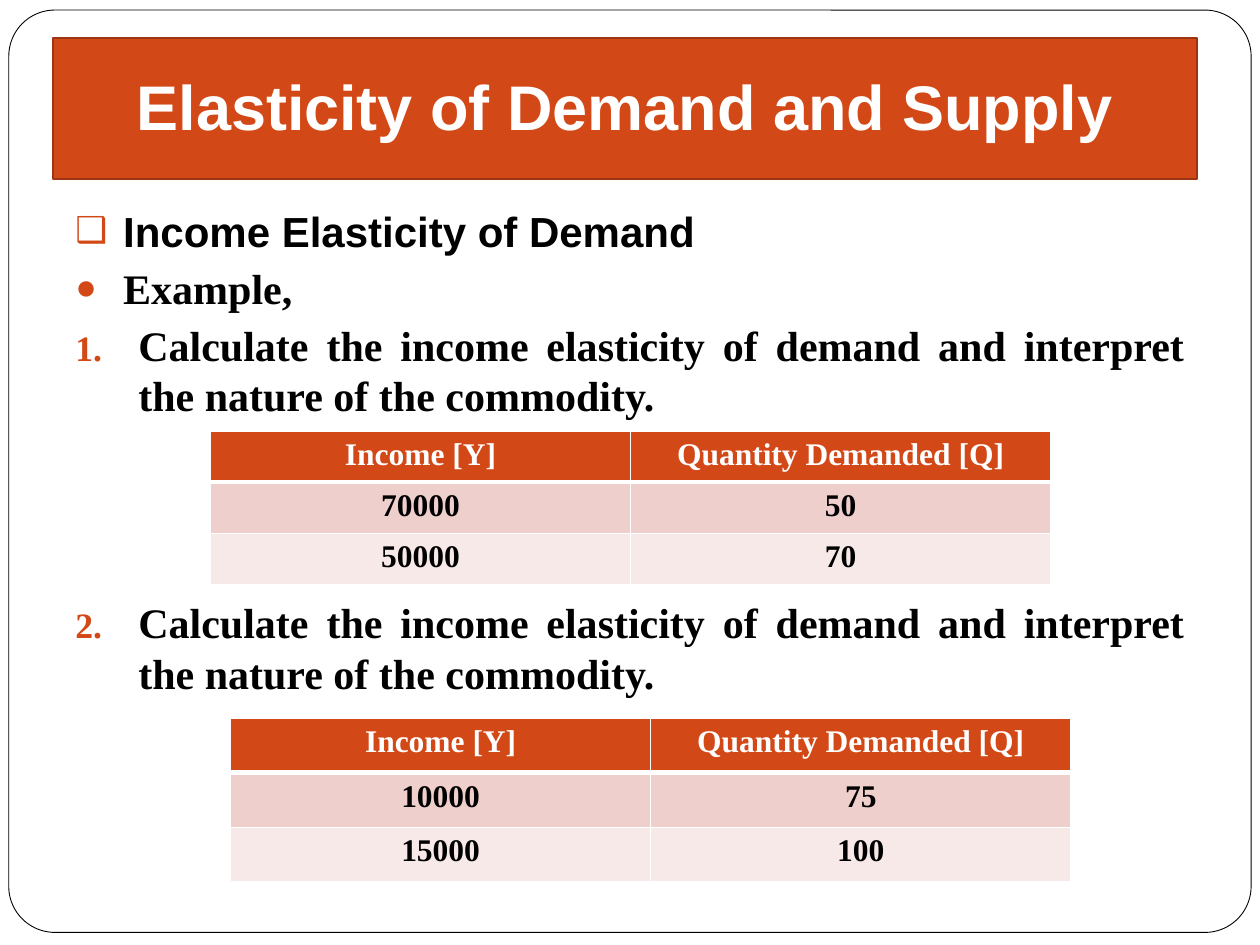
from lxml import etree
from pptx import Presentation
from pptx import util as u
from pptx.dml.color import RGBColor
from pptx.enum import shapes, text
from pptx.oxml.ns import qn

COLORS = {"accent": "D34817", "accent_dark": "9C3511", "white": "FFFFFF",
          "black": "000000", "band": "EFCFCC", "band_light": "F7E9E8"}
SANS, SERIF = "Arial", "Times New Roman"
LINE_HEIGHT, PARAGRAPH_GAP = 28.8, 3.7
QUESTION = ("Calculate the income elasticity of demand and interpret "
            "the nature of the commodity.")
HEADINGS = ("Income [Y]", "Quantity Demanded [Q]")


def rgb(name):
    return RGBColor.from_string(COLORS[name])


def format_runs(paragraph, size, font, color, alignment):
    paragraph.alignment = alignment
    for run in paragraph.runs:
        run.font.size = u.Pt(size)
        run.font.name = font
        run.font.bold = True
        run.font.color.rgb = rgb(color)


def add_panel(slide, box, kind, fill, line, width):
    shape = slide.shapes.add_shape(kind, *map(u.Inches, box))
    shape.shadow.inherit = False
    shape.fill.solid()
    shape.fill.fore_color.rgb = rgb(fill)
    shape.line.color.rgb = rgb(line)
    shape.line.width = u.Pt(width)
    return shape


def add_frame(slide, box):
    frame = add_panel(slide, box, shapes.MSO_SHAPE.ROUNDED_RECTANGLE,
                      "white", "black", 0.5)
    frame.adjustments[0] = 0.05


def add_title(slide, box, title):
    banner = add_panel(slide, box, shapes.MSO_SHAPE.RECTANGLE,
                       "accent", "accent_dark", 1)
    text_frame = banner.text_frame
    text_frame.text = title
    text_frame.margin_bottom = u.Inches(0.1)
    text_frame.vertical_anchor = text.MSO_ANCHOR.MIDDLE
    format_runs(text_frame.paragraphs[0], 36, SANS, "white", text.PP_ALIGN.CENTER)


def add_bullet(paragraph, marker, font, indent):
    """Give the paragraph a character bullet, or a number if marker is an int."""
    properties = paragraph._p.get_or_add_pPr()
    properties.set("marL", str(u.Inches(indent)))
    properties.set("indent", str(-u.Inches(indent)))
    color = etree.SubElement(properties, qn("a:buClr"))
    etree.SubElement(color, qn("a:srgbClr"), val=COLORS["accent"])
    etree.SubElement(properties, qn("a:buSzPct"), val="85000")
    etree.SubElement(properties, qn("a:buFont"), typeface=font)
    if isinstance(marker, int):
        etree.SubElement(properties, qn("a:buAutoNum"), type="arabicPeriod",
                         startAt=str(marker))
    else:
        etree.SubElement(properties, qn("a:buChar"), char=marker)


def add_body(slide, box, items):
    """Each item is wording, font, marker, indent and table lines left above."""
    text_frame = slide.shapes.add_textbox(*map(u.Inches, box)).text_frame
    text_frame.word_wrap = True
    for index, (wording, font, marker, indent, lines_above) in enumerate(items):
        paragraph = text_frame.add_paragraph() if index else text_frame.paragraphs[0]
        paragraph.text = wording
        format_runs(paragraph, 24, font, "black", text.PP_ALIGN.JUSTIFY)
        paragraph.line_spacing = u.Pt(LINE_HEIGHT)
        paragraph.space_before = u.Pt(
            PARAGRAPH_GAP + lines_above * (LINE_HEIGHT + PARAGRAPH_GAP))
        add_bullet(paragraph, marker, font, indent)


def set_borders(cell, widths):
    """Draw white borders; widths in points for left, right, top, bottom."""
    properties = cell._tc.get_or_add_tcPr()
    for index, (side, width) in enumerate(zip("LRTB", widths)):
        line = etree.Element(qn(f"a:ln{side}"), w=str(u.Pt(width)))
        fill = etree.SubElement(line, qn("a:solidFill"))
        etree.SubElement(fill, qn("a:srgbClr"), val=COLORS["white"])
        properties.insert(index, line)


def add_demand_table(slide, box, values):
    rows = [HEADINGS, *values]
    styles = [("accent", "white", (1, 1, 1, 3)),
              ("band", "black", (1, 1, 3, 1)),
              ("band_light", "black", (1, 1, 1, 1))]
    table = slide.shapes.add_table(len(rows), len(HEADINGS),
                                   *map(u.Inches, box)).table
    for row, (wordings, (fill, color, widths)) in enumerate(zip(rows, styles)):
        for column, wording in enumerate(wordings):
            cell = table.cell(row, column)
            cell.text = wording
            cell.fill.solid()
            cell.fill.fore_color.rgb = rgb(fill)
            set_borders(cell, widths)
            format_runs(cell.text_frame.paragraphs[0], 18, SERIF, color,
                        text.PP_ALIGN.CENTER)


def main():
    presentation = Presentation()
    presentation.slide_width = u.Inches(10)
    presentation.slide_height = u.Inches(7.5)
    slide = presentation.slides.add_slide(presentation.slide_layouts[6])
    add_frame(slide, (0.07, 0.08, 9.86, 7.32))
    add_body(slide, (0.5, 1.58, 9, 5.33), [
        ("Income Elasticity of Demand", SANS, "❑", 0.38, 0),
        ("Example,", SERIF, "●", 0.38, 0),
        (QUESTION, SERIF, 1, 0.5, 0),
        (QUESTION, SERIF, 2, 0.5, 3),
    ])
    add_title(slide, (0.42, 0.3, 9.08, 1.12), "Elasticity of Demand and Supply")
    add_demand_table(slide, (1.67, 3.42, 6.67, 1.22),
                     [("70000", "50"), ("50000", "70")])
    add_demand_table(slide, (1.83, 5.7, 6.67, 1.3),
                     [("10000", "75"), ("15000", "100")])
    presentation.save("out.pptx")


if __name__ == "__main__":
    main()
